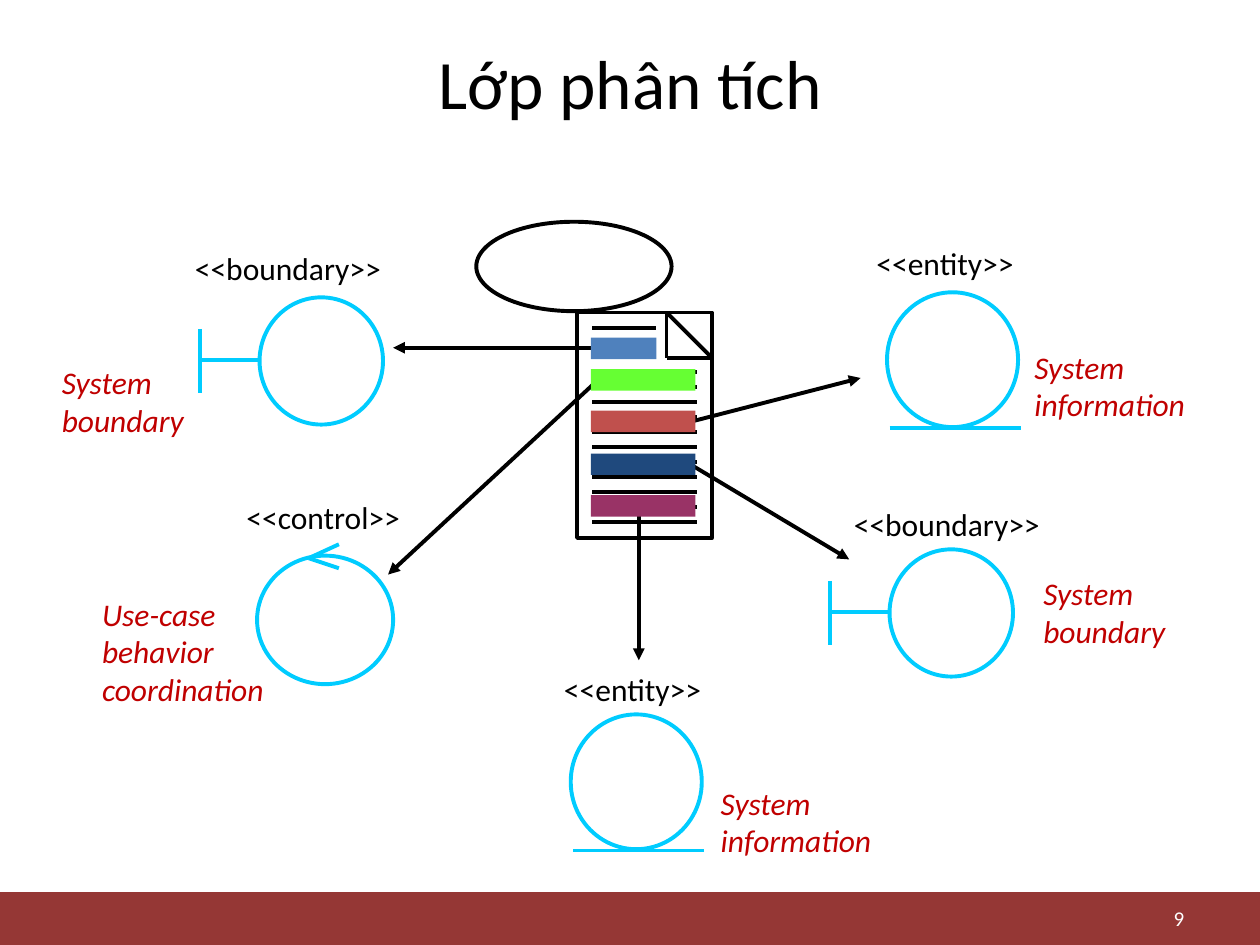
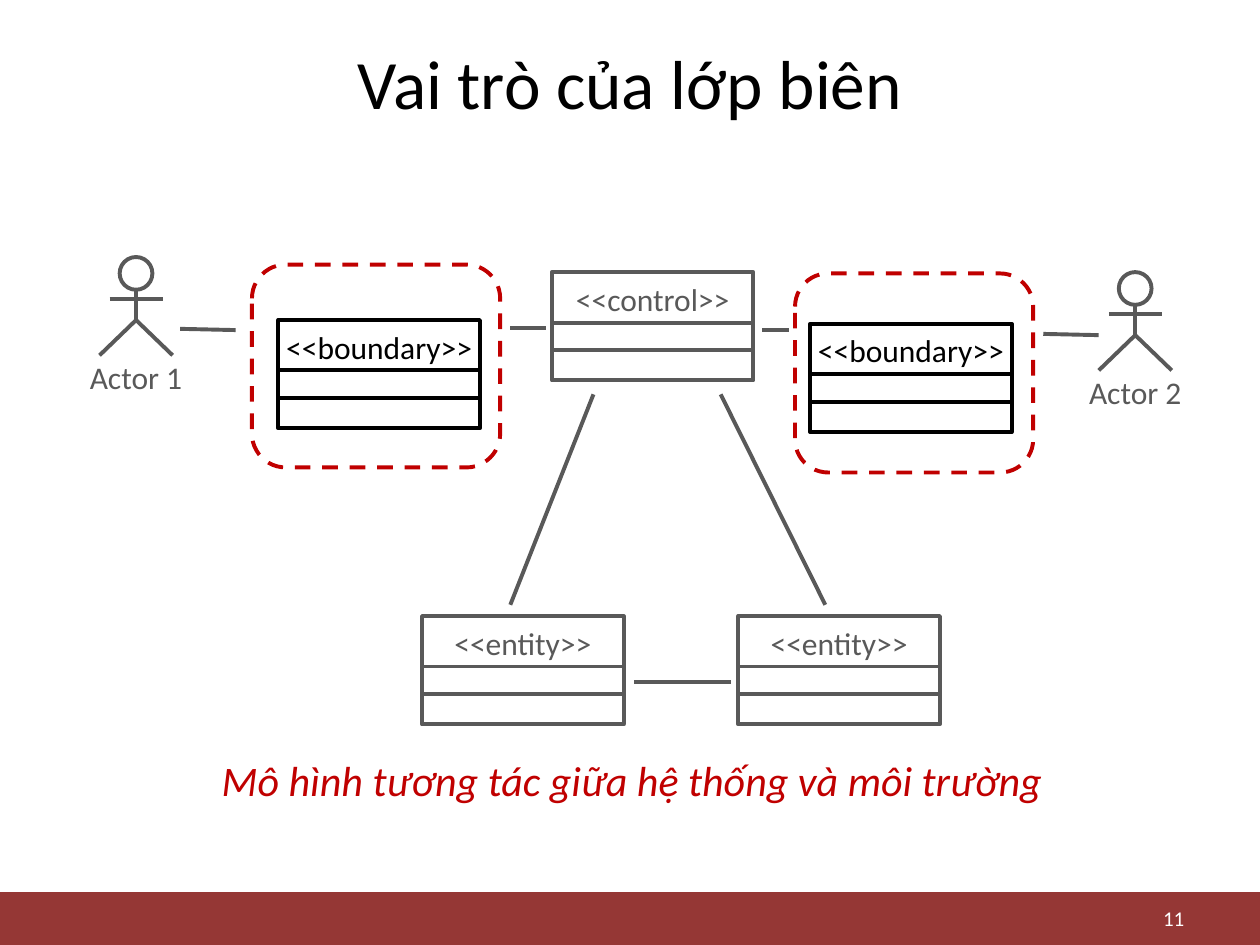
import pptx
import pptx.dml.color
import pptx.enum.dml
import pptx.enum.shapes
import pptx.enum.text
import pptx.util
from lxml import etree
from pptx.oxml.ns import qn

Inches = pptx.util.Inches
Pt = pptx.util.Pt
RGBColor = pptx.dml.color.RGBColor
MSO_SHAPE = pptx.enum.shapes.MSO_SHAPE
MSO_ANCHOR = pptx.enum.text.MSO_ANCHOR
PP_ALIGN = pptx.enum.text.PP_ALIGN

BLACK = RGBColor(0x00, 0x00, 0x00)
WHITE = RGBColor(0xFF, 0xFF, 0xFF)
GREY = RGBColor(0x59, 0x59, 0x59)
RED = RGBColor(0xC0, 0x00, 0x00)
CYAN = RGBColor(0x00, 0xCC, 0xFF)
BAND = RGBColor(0x95, 0x37, 0x35)
BLUE = RGBColor(0x4F, 0x81, 0xBD)
GREEN = RGBColor(0x66, 0xFF, 0x33)
BRICK = RGBColor(0xC0, 0x50, 0x4D)
NAVY = RGBColor(0x1F, 0x49, 0x7D)
PLUM = RGBColor(0x99, 0x33, 0x66)

FONT = "Calibri"
STROKE = Pt(2.25)


def add_line(slide, start, end, color, arrow=False):
    line = slide.shapes.add_connector(
        pptx.enum.shapes.MSO_CONNECTOR.STRAIGHT, *map(Inches, start + end))
    line.line.color.rgb = color
    line.line.width = STROKE
    properties = line._element.spPr
    if arrow:
        etree.SubElement(properties.find(qn("a:ln")), qn("a:tailEnd"), type="triangle")
    etree.SubElement(properties, qn("a:effectLst"))


def add_shape(slide, kind, box, outline=None, fill=None):
    shape = slide.shapes.add_shape(kind, *map(Inches, box))
    shape.shadow.inherit = False
    if fill:
        shape.fill.solid()
        shape.fill.fore_color.rgb = fill
    else:
        shape.fill.background()
    if outline:
        shape.line.color.rgb = outline
        shape.line.width = STROKE
    else:
        shape.line.fill.background()
    return shape


# Shared title position, footer band and page number
deck = pptx.Presentation()
deck.slide_width = Inches(10)
deck.slide_height = Inches(7.5)
layout = deck.slide_layouts.get_by_name("Title Only")
title_area = layout.placeholders[0]
title_area.left, title_area.top = Inches(0.5), Inches(0.3)
title_area.width, title_area.height = Inches(9), Inches(0.7)

# Each label: slide, text, box, size, colour, italic, alignment, wrap
labels = []
slides = []
for heading, page_number in [("Lớp phân tích", "9"), ("Vai trò của lớp biên", "11")]:
    slide = deck.slides.add_slide(layout)
    title = slide.shapes.title.text_frame
    title.text = heading
    title.auto_size = pptx.enum.text.MSO_AUTO_SIZE.NONE
    title.vertical_anchor = MSO_ANCHOR.MIDDLE
    title.paragraphs[0].alignment = PP_ALIGN.CENTER
    title_font = title.paragraphs[0].runs[0].font
    title_font.name, title_font.size = FONT, Pt(39.6)
    title_font.color.rgb = BLACK
    labels.append((slide, page_number, (7.27, 7.15, 2.13, 0.27), 12, WHITE,
                   False, PP_ALIGN.RIGHT, True))
    slides.append(slide)
analysis, roles = slides

band = add_shape(analysis, MSO_SHAPE.RECTANGLE, (0, 7.08, 10, 0.42), fill=BAND)
layout.shapes._spTree.insert(2, band._element)

# Slide 1: use case and its description page
add_shape(analysis, MSO_SHAPE.OVAL, (3.78, 1.76, 1.55, 0.71), BLACK)
add_shape(analysis, MSO_SHAPE.RECTANGLE, (4.58, 2.48, 1.07, 1.79), BLACK)
fold = [(5.29, 2.48), (5.65, 2.84), (5.29, 2.84)]
for corner, next_corner in zip(fold, fold[1:] + fold[:1]):
    add_line(analysis, corner, next_corner, BLACK)
for row in range(14):
    y = 2.6 + row * 1.54 / 13
    add_line(analysis, (4.7, y), (5.21 if row < 3 else 5.53, y), BLACK)

# Arrows from the highlighted passages to the classes
for start, end in [
    ((4.81, 2.76), (3.12, 2.76)),
    ((5.47, 3.35), (6.83, 3)),
    ((5.07, 3.93), (5.07, 5.24)),
    ((5.47, 3.68), (6.74, 4.44)),
    ((4.72, 3.04), (3.08, 4.56)),
]:
    add_line(analysis, start, end, BLACK, arrow=True)
for top, width, color in [(2.68, 0.52, BLUE), (2.93, 0.83, GREEN), (3.26, 0.83, BRICK),
                          (3.6, 0.83, NAVY), (3.93, 0.83, PLUM)]:
    add_shape(analysis, MSO_SHAPE.RECTANGLE, (4.69, top, width, 0.17), fill=color)

# Class symbols
for x, y in [(7.04, 2.32), (4.53, 5.67)]:
    add_shape(analysis, MSO_SHAPE.OVAL, (x, y, 1.04, 1.07), CYAN)
    add_line(analysis, (x + 0.02, y + 1.08), (x + 1.06, y + 1.08), CYAN)
for x, y in [(2.06, 2.36), (7.06, 4.36)]:
    add_shape(analysis, MSO_SHAPE.OVAL, (x, y, 0.98, 1.01), CYAN)
    add_line(analysis, (x - 0.47, y + 0.25), (x - 0.47, y + 0.76), CYAN)
    add_line(analysis, (x - 0.47, y + 0.5), (x, y + 0.5), CYAN)
add_shape(analysis, MSO_SHAPE.OVAL, (2.04, 4.41, 1.08, 1.02), CYAN)
for tip_y in (4.32, 4.51):
    add_line(analysis, (2.69, tip_y), (2.45, 4.43), CYAN)

for stereotype, left, top, width in [
    ("<<boundary>>", 1.42, 1.98, 1.73),
    ("<<control>>", 1.83, 3.95, 1.47),
    ("<<entity>>", 6.83, 1.94, 1.34),
    ("<<entity>>", 4.35, 5.32, 1.34),
    ("<<boundary>>", 6.65, 4.01, 1.73),
]:
    labels.append((analysis, stereotype, (left, top, width, 0.3), 18, BLACK,
                   False, PP_ALIGN.CENTER, False))
for meaning, left, top, width, height in [
    ("System boundary", 0.49, 2.88, 1.22, 0.6),
    ("Use-case behavior coordination", 0.81, 4.72, 1.38, 0.9),
    ("System information", 8.21, 2.76, 1.47, 0.6),
    ("System information", 5.72, 6.22, 1.47, 0.6),
    ("System boundary", 8.28, 4.56, 1.22, 0.6),
]:
    labels.append((analysis, meaning, (left, top, width, height), 18, RED,
                   True, PP_ALIGN.LEFT, True))

# Slide 2: actors, placed by the centre and top of the head
for actor, x, y in [("Actor 1", 1.08, 2.04), ("Actor 2", 9.01, 2.16)]:
    add_shape(roles, MSO_SHAPE.OVAL, (x - 0.13, y, 0.26, 0.26), GREY)
    add_line(roles, (x, y + 0.26), (x, y + 0.5), GREY)
    add_line(roles, (x - 0.21, y + 0.33), (x + 0.21, y + 0.33), GREY)
    builder = roles.shapes.build_freeform(Inches(x - 0.29), Inches(y + 0.78))
    builder.add_line_segments([(Inches(x), Inches(y + 0.5)),
                               (Inches(x + 0.29), Inches(y + 0.78))], close=False)
    legs = builder.convert_to_shape()
    legs.shadow.inherit = False
    legs.fill.background()
    legs.line.color.rgb = GREY
    legs.line.width = STROKE
    labels.append((roles, actor, (x - 0.37, y + 0.8, 0.74, 0.3), 18, GREY,
                   False, PP_ALIGN.CENTER, False))

# Links between actors and classes
for start, end in [
    ((1.43, 2.61), (1.87, 2.62)),
    ((4.05, 2.6), (4.33, 2.6)),
    ((6.26, 2.62), (6.05, 2.62)),
    ((8.28, 2.65), (8.72, 2.66)),
    ((4.05, 4.8), (4.71, 3.13)),
    ((5.72, 3.13), (6.55, 4.8)),
    ((5.8, 5.41), (5.03, 5.41)),
]:
    add_line(roles, start, end, GREY)

for emphasis_box in [(2, 2.1, 1.97, 1.61), (6.31, 2.17, 1.89, 1.58)]:
    emphasis = add_shape(roles, MSO_SHAPE.ROUNDED_RECTANGLE, emphasis_box, RED)
    emphasis.line.dash_style = pptx.enum.dml.MSO_LINE.DASH

for stereotype, x, y, color in [
    ("<<boundary>>", 2.21, 2.54, BLACK),
    ("<<control>>", 4.38, 2.16, GREY),
    ("<<boundary>>", 6.43, 2.57, BLACK),
    ("<<entity>>", 3.35, 4.89, GREY),
    ("<<entity>>", 5.86, 4.89, GREY),
]:
    add_shape(roles, MSO_SHAPE.RECTANGLE, (x, y, 1.6, 0.86), color)
    for divider in (0.4, 0.62):
        add_line(roles, (x, y + divider), (x + 1.6, y + divider), color)
    labels.append((roles, stereotype, (x, y + 0.06, 1.6, 0.3), 18, color,
                   False, PP_ALIGN.CENTER, False))

labels.append((roles, "Mô hình tương tác giữa hệ thống và môi trường",
               (0.53, 5.99, 8.97, 0.4), 24, RED, True, PP_ALIGN.CENTER, True))

for slide, text, box, size, color, italic, alignment, wrap in labels:
    frame = slide.shapes.add_textbox(*map(Inches, box)).text_frame
    frame.margin_left = frame.margin_right = frame.margin_top = frame.margin_bottom = 0
    frame.word_wrap = wrap
    frame.vertical_anchor = MSO_ANCHOR.MIDDLE
    frame.text = text
    frame.paragraphs[0].alignment = alignment
    font = frame.paragraphs[0].runs[0].font
    font.name, font.size, font.italic = FONT, Pt(size), italic
    font.color.rgb = color

deck.save("out.pptx")
